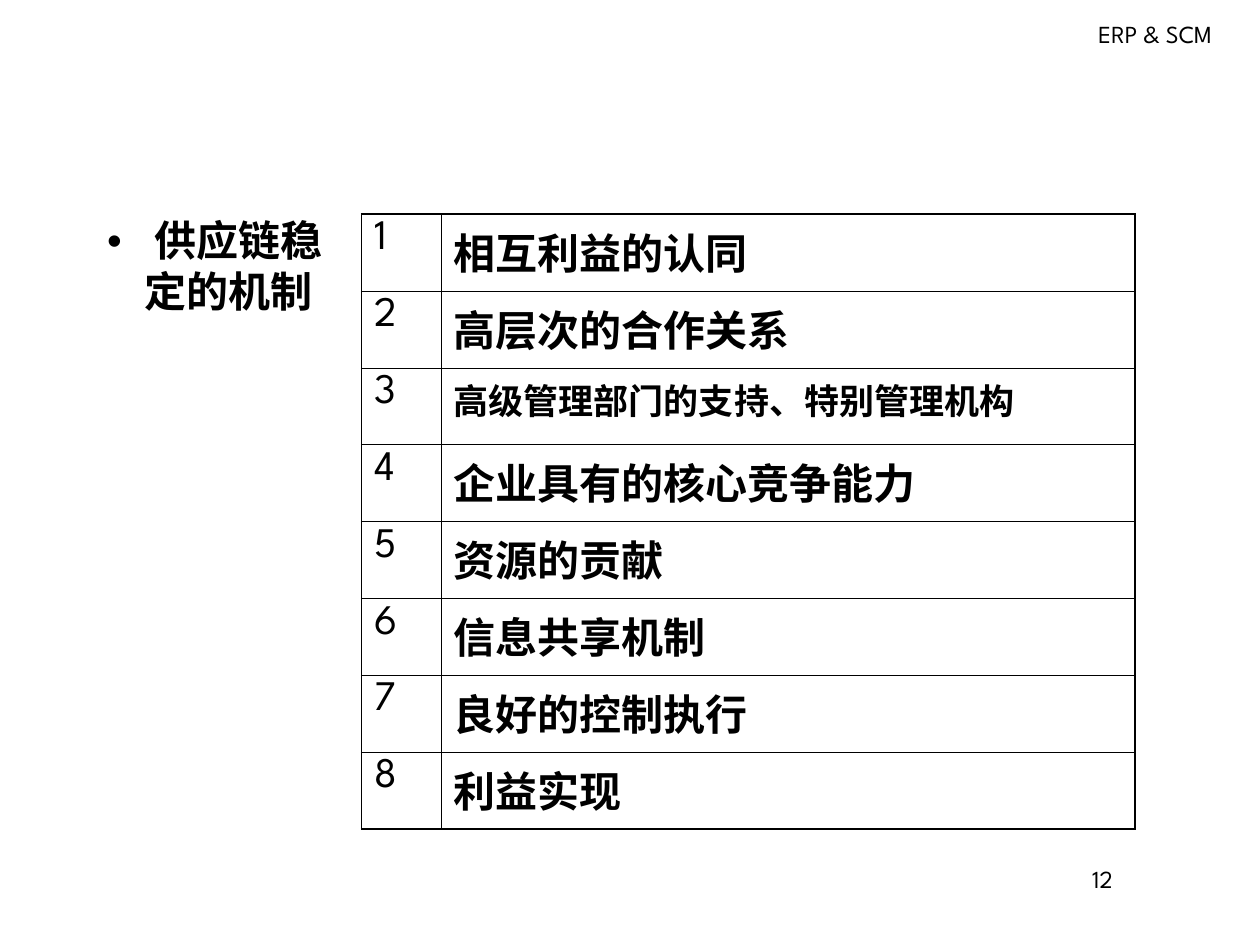
import pptx
import pptx.dml.color
import pptx.enum.text
import pptx.oxml
import pptx.oxml.ns
import pptx.util
from lxml import etree

FONT = "League Spartan"
INK = "000000"
WIDTH, HEIGHT = 10, 7.5
CONTENT_TOP, CONTENT_HEIGHT = 1.7, 4.88
OUTER_LINE, INNER_LINE = 1.08, 0.45
COLUMN_WIDTHS = (0.63, 5.51)
MECHANISMS = (
    "相互利益的认同",
    "高层次的合作关系",
    "高级管理部门的支持、特别管理机构",
    "企业具有的核心竞争能力",
    "资源的贡献",
    "信息共享机制",
    "良好的控制执行",
    "利益实现",
)
LONG_TEXT = 12


def inches(*lengths):
    return [pptx.util.Inches(length) for length in lengths]


def rgb(value):
    return pptx.dml.color.RGBColor.from_string(value)


def style(paragraph, size, bold=False):
    for run in paragraph.runs:
        run.font.name = FONT
        run.font.size = pptx.util.Pt(size)
        run.font.bold = bold
        run.font.color.rgb = rgb(INK)


def add_label(slide, text, left, top, width, height, align):
    frame = slide.shapes.add_textbox(*inches(left, top, width, height)).text_frame
    frame.word_wrap = True
    frame.text = text
    frame.paragraphs[0].alignment = align
    style(frame.paragraphs[0], 14)


def set_bullet(paragraph, margin, indent, bullet=None):
    properties = paragraph._p.get_or_add_pPr()
    properties.set("marL", str(pptx.util.Inches(margin)))
    properties.set("indent", str(pptx.util.Inches(indent)))
    if bullet:
        etree.SubElement(properties, pptx.oxml.ns.qn("a:buFont"), typeface="Arial")
        etree.SubElement(properties, pptx.oxml.ns.qn("a:buChar"), char=bullet)
    else:
        etree.SubElement(properties, pptx.oxml.ns.qn("a:buNone"))


def fill_topic(body):
    body.left, body.top, body.width, body.height = inches(
        0.75, CONTENT_TOP, 4.17, CONTENT_HEIGHT)
    frame = body.text_frame
    frame.text = "供应链稳\n定的机制"
    frame.auto_size = pptx.enum.text.MSO_AUTO_SIZE.NONE
    first, second = frame.paragraphs
    set_bullet(first, 0.38, -0.38, "•")
    set_bullet(second, 0.3, 0)
    for paragraph, space in ((first, 0), (second, 3)):
        paragraph.space_before = pptx.util.Pt(space)
        paragraph.line_spacing = 0.9
        style(paragraph, 24, bold=True)


def set_borders(cell, outer_sides):
    properties = cell._tc.get_or_add_tcPr()
    for side in "LRTB":
        weight = OUTER_LINE if side in outer_sides else INNER_LINE
        properties.append(pptx.oxml.parse_xml(
            f'<a:ln{side} {pptx.oxml.ns.nsdecls("a")} w="{pptx.util.Pt(weight)}">'
            f'<a:solidFill><a:srgbClr val="{INK}"/></a:solidFill></a:ln{side}>'))


def add_mechanism_table(slide):
    last_row = len(MECHANISMS) - 1
    table = slide.shapes.add_table(
        len(MECHANISMS), len(COLUMN_WIDTHS),
        *inches(2.87, CONTENT_TOP, sum(COLUMN_WIDTHS), CONTENT_HEIGHT)).table
    table.first_row = table.horz_banding = False
    for column, width in zip(table.columns, COLUMN_WIDTHS):
        column.width = pptx.util.Inches(width)
    for row, mechanism in enumerate(MECHANISMS):
        table.rows[row].height = pptx.util.Inches(CONTENT_HEIGHT / len(MECHANISMS))
        vertical = {0: "T", last_row: "B"}.get(row, "")
        for column, text in enumerate((str(row + 1), mechanism)):
            cell = table.cell(row, column)
            cell.text = text
            style(cell.text_frame.paragraphs[0],
                  20 if len(text) > LONG_TEXT else 24, bold=column == 1)
            set_borders(cell, "LR"[column] + vertical)
            cell.fill.background()


def main():
    presentation = pptx.Presentation()
    presentation.slide_width, presentation.slide_height = inches(WIDTH, HEIGHT)
    slide = presentation.slides.add_slide(presentation.slide_layouts[1])
    title = slide.shapes.title
    title.element.getparent().remove(title.element)

    alignment = pptx.enum.text.PP_ALIGN
    add_label(slide, "12", 8.57, 6.81, 1.14, 0.39, alignment.LEFT)
    add_label(slide, "ERP & SCM", 8.57, 0.1, 1.2, 0.34, alignment.CENTER)
    fill_topic(slide.placeholders[1])
    add_mechanism_table(slide)
    presentation.save("out.pptx")


if __name__ == "__main__":
    main()
